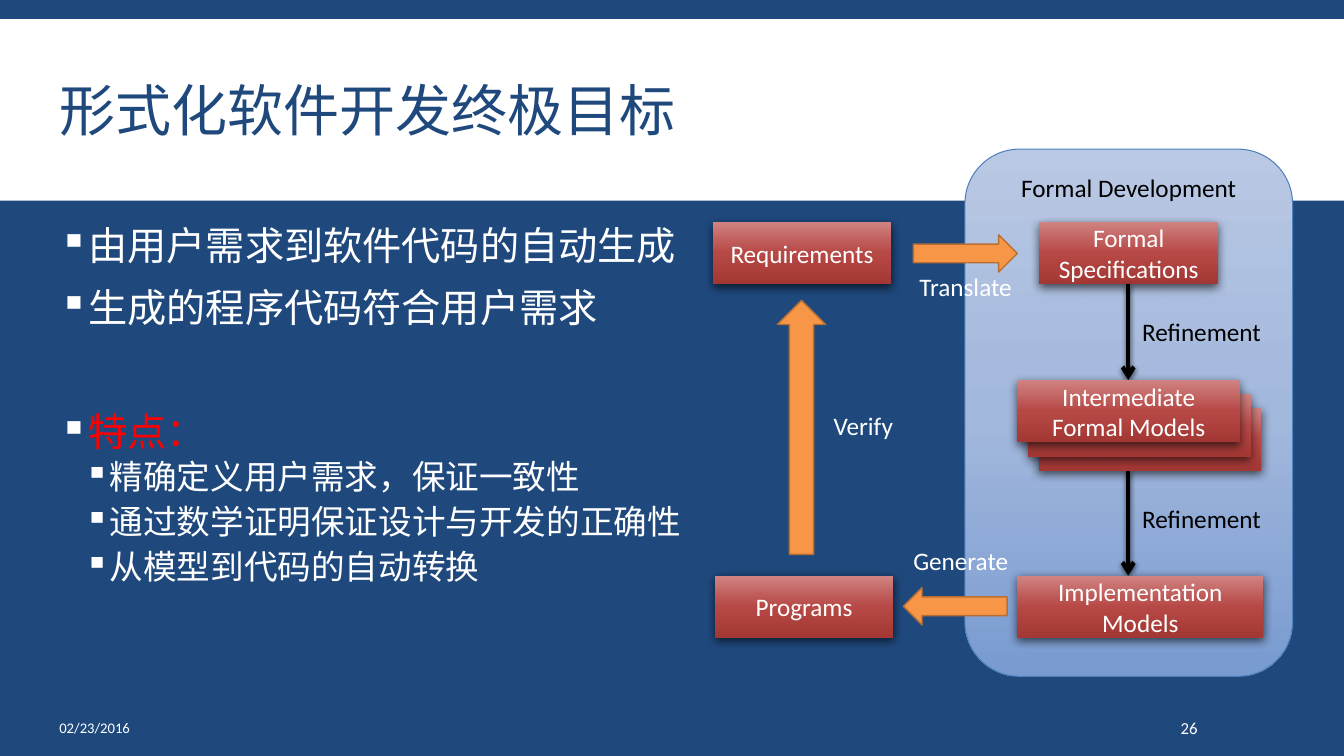
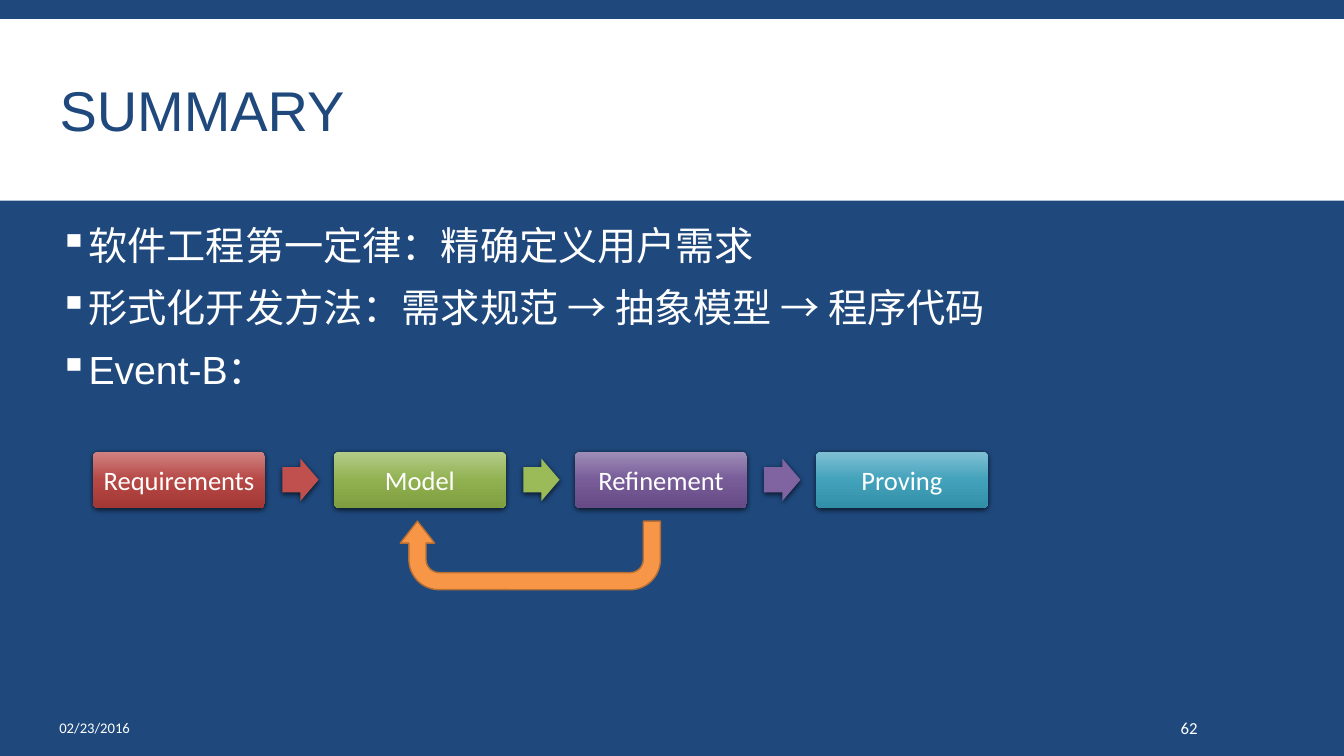
from lxml import etree
from pptx import Presentation
from pptx.dml.color import RGBColor
from pptx.enum import shapes, text
from pptx.oxml import parse_xml
from pptx.oxml.ns import nsdecls, qn
from pptx.util import Inches, Pt

COLORS = {
    "navy": "1F497D", "white": "FFFFFF", "black": "000000", "red": "FF0000",
    "orange": "F79646", "orange_line": "B76F34", "panel_line": "4F81BD",
    "brick": "C0504D", "green": "9BBB59", "purple": "8064A2",
}
GRADIENTS = {
    "panel": ("B9C8E3", "A3B8DD", "799BD0"),
    "brick": ("D08382", "B64845", "A33734"),
    "green": ("B3CC88", "91B151", "7F9E3F"),
    "purple": ("9F8EB8", "775C98", "664B87"),
    "teal": ("81C0D5", "43A2BB", "328FA8"),
}
# Shadow: opacity in percent, blur and distance in points
DEEP = (63, 7, 2.2)
SOFT = (68, 4, 1.2)
# Bullet levels: left margin, size, space before, space after
LEVELS = ((0.2, 28, 12, 2), (0.45, 24, 2, 4))
SHAPE = shapes.MSO_SHAPE
MIDDLE = text.MSO_ANCHOR.MIDDLE
CENTER = text.PP_ALIGN.CENTER


def rgb(name):
    return RGBColor.from_string(COLORS[name])


def box(x, y, w, h):
    return [Inches(v) for v in (x, y, w, h)]


def style(p, size, color, font="Calibri"):
    for r in p.runs:
        r.font.size = Pt(size)
        r.font.name = font
        r.font.color.rgb = rgb(color)


def set_insets(tf, left, top, right, bottom):
    tf.margin_left, tf.margin_top, tf.margin_right, tf.margin_bottom = box(left, top, right, bottom)


# Effects that need XML
def fill_gradient(sp, name):
    stops = "".join(
        f'<a:gs pos="{i * 50000}"><a:srgbClr val="{c}"/></a:gs>'
        for i, c in enumerate(GRADIENTS[name]))
    grad = parse_xml(
        f'<a:gradFill {nsdecls("a")} rotWithShape="1"><a:gsLst>{stops}</a:gsLst>'
        '<a:lin ang="5400000" scaled="0"/></a:gradFill>')
    sp.element.spPr.find(qn("a:prstGeom")).addnext(grad)


def add_shadow(sp, shadow):
    """Append the effect list, which follows fill and line."""
    effects = etree.SubElement(sp.element.spPr, qn("a:effectLst"))
    if shadow:
        alpha, blur, dist = shadow
        effects.append(parse_xml(
            f'<a:outerShdw {nsdecls("a")} blurRad="{Pt(blur)}" dist="{Pt(dist)}"'
            f' dir="5400000" rotWithShape="0"><a:srgbClr val="{COLORS["black"]}">'
            f'<a:alpha val="{alpha * 1000}"/></a:srgbClr></a:outerShdw>'))


# Element kinds
def add_block(s, kind, at, fill=None, gradient=None, line=None, width=1, shadow=None):
    sp = s.shapes.add_shape(kind, *box(*at))
    if gradient:
        fill_gradient(sp, gradient)
    else:
        sp.fill.solid()
        sp.fill.fore_color.rgb = rgb(fill)
    if line:
        sp.line.color.rgb = rgb(line)
        sp.line.width = Pt(width)
    else:
        sp.line.fill.background()
    add_shadow(sp, shadow)
    return sp


def put_text(sp, words, size=18, color="white"):
    tf = sp.text_frame
    tf.word_wrap = True
    tf.vertical_anchor = MIDDLE
    p = tf.paragraphs[0]
    p.text = words
    p.alignment = CENTER
    style(p, size, color)
    return tf


def add_brick(s, at, words=None):
    sp = add_block(s, SHAPE.RECTANGLE, at, gradient="brick", shadow=DEEP)
    if words:
        put_text(sp, words)


def add_orange_arrow(s, kind, at):
    return add_block(s, kind, at, fill="orange", line="orange_line")


def add_label(s, words, at, color="white", size=18, insets=None):
    tf = s.shapes.add_textbox(*box(*at)).text_frame
    tf.word_wrap = bool(insets)
    if insets:
        tf.vertical_anchor = MIDDLE
        set_insets(tf, *insets)
    tf.text = words
    style(tf.paragraphs[0], size, color)


def add_refinement(s, x, top, bottom, label_top):
    line = s.shapes.add_connector(
        shapes.MSO_CONNECTOR.STRAIGHT, Inches(x), Inches(top), Inches(x), Inches(bottom))
    line.line.color.rgb = rgb("black")
    line.line.width = Pt(3)
    etree.SubElement(line.element.spPr.find(qn("a:ln")), qn("a:tailEnd"), type="arrow")
    add_shadow(line, SOFT)
    add_label(s, "Refinement", (x + 0.04, label_top, 1.4, 0.4), "black")


def add_bullets(s, items):
    """Items are (words, level, colour, extra space before in points)."""
    tf = s.shapes.add_textbox(*box(0.49, 2.2, 12.33, 4.6)).text_frame
    tf.word_wrap = True
    for i, (words, level, color, gap) in enumerate(items):
        margin, size, before, after = LEVELS[level]
        p = tf.add_paragraph() if i else tf.paragraphs[0]
        p.text = words
        p.level = level
        p.line_spacing = 0.9
        p.space_before = Pt(before + gap if i else 0)
        p.space_after = Pt(after)
        pPr = p._p.get_or_add_pPr()
        pPr.set("marL", str(Inches(margin)))
        pPr.set("indent", str(Inches(-0.2)))
        bullet_color = etree.SubElement(pPr, qn("a:buClr"))
        etree.SubElement(bullet_color, qn("a:srgbClr"), val=COLORS["white"])
        etree.SubElement(pPr, qn("a:buChar"), char="▪")
        style(p, size, color, "Arial")


def new_slide(prs, title, number):
    """Slide with the white band, title, date and number."""
    s = prs.slides.add_slide(prs.slide_layouts[5])
    band = add_block(s, SHAPE.RECTANGLE, (0, 0.19, 13.33, 1.8), fill="white")
    s.shapes.element.insert(2, band.element)
    sp = s.shapes.title
    sp.left, sp.top, sp.width, sp.height = box(0.49, 0.31, 12.33, 1.65)
    tf = sp.text_frame
    tf.text = title
    tf.vertical_anchor = MIDDLE
    tf.auto_size = text.MSO_AUTO_SIZE.NONE
    p = tf.paragraphs[0]
    p.alignment = text.PP_ALIGN.LEFT
    p.line_spacing = 0.85
    style(p, 40, "navy", "Arial")
    add_label(s, "02/23/2016", (0.49, 7.02, 4.11, 0.4), size=10.5, insets=(0.1, 0.05, 0.05, 0.05))
    add_label(s, number, (11.66, 7.02, 1.17, 0.4), size=12, insets=(0.05, 0.05, 0.1, 0.05))
    return s


# Slides
def build_goal(prs):
    s = new_slide(prs, "形式化软件开发终极目标", "26")
    add_bullets(s, [
        ("由用户需求到软件代码的自动生成", 0, "white", 0),
        ("生成的程序代码符合用户需求", 0, "white", 0),
        ("特点：", 0, "red", 44.5),
        ("精确定义用户需求，保证一致性", 1, "white", 0),
        ("通过数学证明保证设计与开发的正确性", 1, "white", 0),
        ("从模型到代码的自动转换", 1, "white", 0),
    ])

    # Formal development panel
    panel = add_block(s, SHAPE.ROUNDED_RECTANGLE, (9.57, 1.48, 3.25, 5.23),
                      gradient="panel", line="panel_line", width=0.75)
    tf = put_text(panel, "Formal Development", color="black")
    tf.vertical_anchor = text.MSO_ANCHOR.TOP
    tf.margin_top = Inches(0.07)
    add_brick(s, (10.31, 2.2, 1.77, 0.62), "Formal Specifications")
    add_refinement(s, 11.19, 2.82, 3.77, 3.09)
    add_refinement(s, 11.19, 4.67, 5.71, 4.94)
    add_brick(s, (10.09, 5.71, 2.44, 0.62), "Implementation Models")
    for i in (2, 1, 0):
        add_brick(s, (10.09 + 0.105 * i, 3.77 + 0.14 * i, 2.21, 0.62),
                  None if i else "Intermediate Formal Models")

    # Requirements and programs
    add_brick(s, (7.07, 2.2, 1.77, 0.62), "Requirements")
    add_brick(s, (7.09, 5.71, 1.77, 0.62), "Programs")
    add_orange_arrow(s, SHAPE.RIGHT_ARROW, (9.06, 2.33, 1.03, 0.37))
    add_orange_arrow(s, SHAPE.LEFT_ARROW, (8.96, 5.83, 1.03, 0.37))
    add_orange_arrow(s, SHAPE.UP_ARROW, (7.71, 2.98, 0.48, 2.52))
    add_label(s, "Translate", (9.02, 2.64, 1.13, 0.4))
    add_label(s, "Generate", (8.96, 5.36, 1.16, 0.4))
    add_label(s, "Verify", (8.17, 4.02, 0.8, 0.4))


def build_summary(prs):
    s = new_slide(prs, "SUMMARY", "62")
    add_bullets(s, [(words, 0, "white", 0) for words in (
        "软件工程第一定律：精确定义用户需求",
        "形式化开发方法：需求规范 → 抽象模型 → 程序代码",
        "Event-B：")])

    # Return arrow from refinement to model
    uturn = add_orange_arrow(s, SHAPE.U_TURN_ARROW, (3.97, 5.17, 2.58, 0.68))
    uturn.rotation = 180
    for i, value in enumerate((0.25, 0.25, 0.32, 0.44, 1)):
        uturn.adjustments[i] = value

    # Process chain
    steps = (("Requirements", "brick"), ("Model", "green"),
             ("Refinement", "purple"), ("Proving", "teal"))
    for i, (words, color) in enumerate(steps):
        x = 0.92 + 2.39 * i
        step = add_block(s, SHAPE.ROUNDED_RECTANGLE, (x, 4.48, 1.71, 0.56),
                         gradient=color, shadow=SOFT)
        step.adjustments[0] = 0.1
        set_insets(put_text(step, words, 19), 0.08, 0.08, 0.08, 0.08)
        if i < len(steps) - 1:
            arrow = add_block(s, SHAPE.RIGHT_ARROW, (x + 1.88, 4.55, 0.36, 0.42),
                              fill=color, shadow=SOFT)
            arrow.adjustments[0] = 0.6


def main():
    prs = Presentation()
    prs.slide_width, prs.slide_height = Inches(13.33), Inches(7.5)
    background = prs.slide_master.background.fill
    background.solid()
    background.fore_color.rgb = rgb("navy")
    build_goal(prs)
    build_summary(prs)
    prs.save("out.pptx")


if __name__ == "__main__":
    main()
